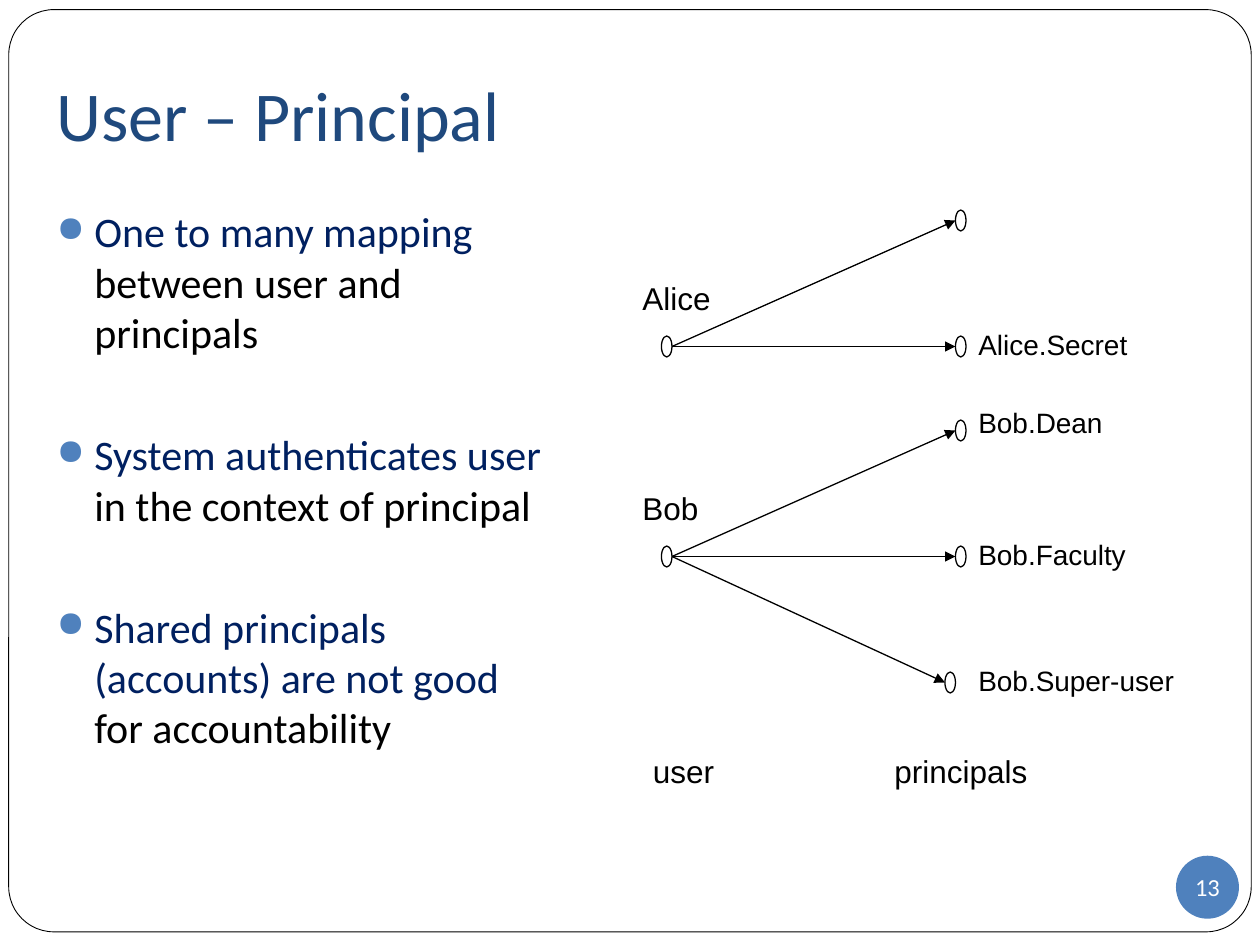
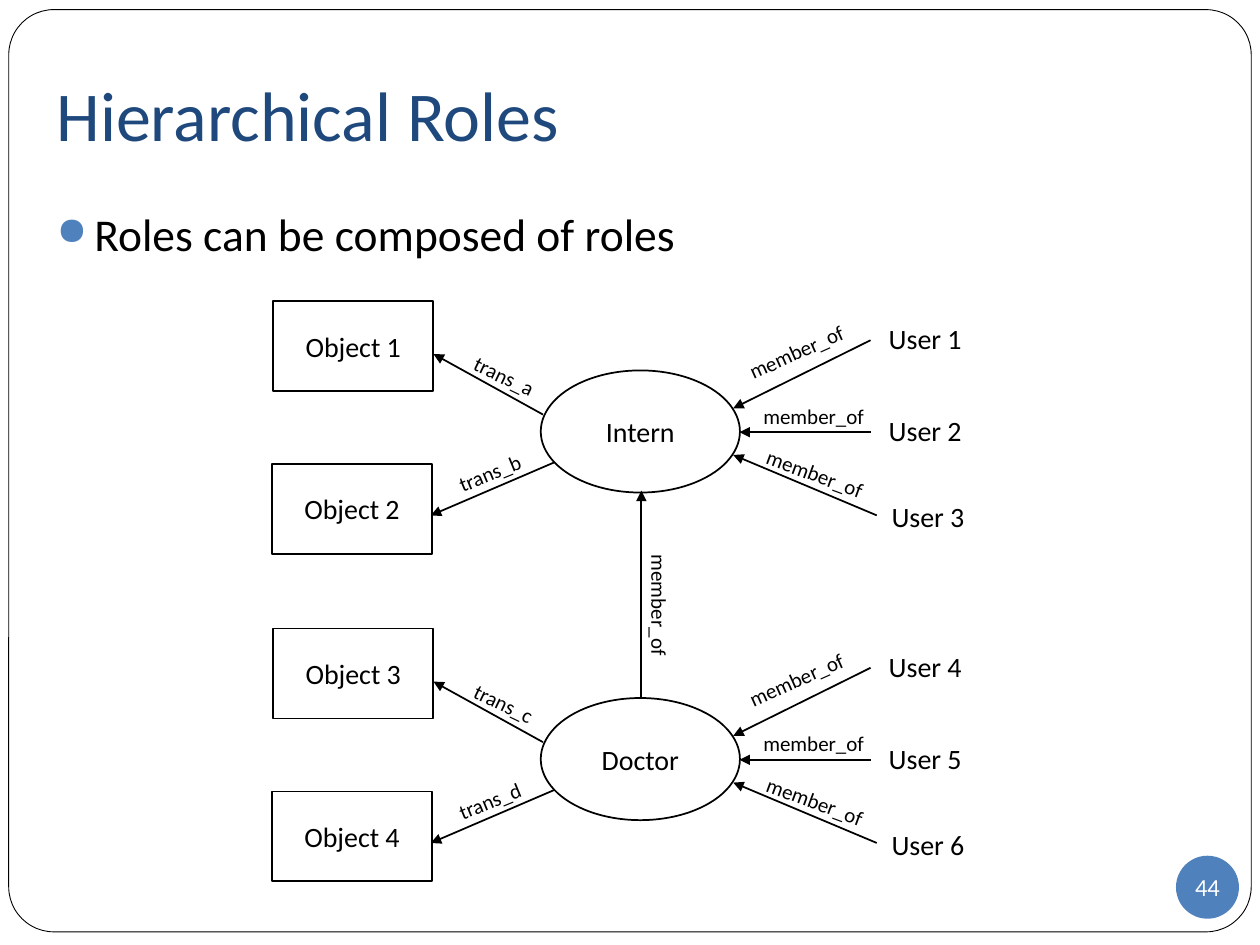
import pptx
import pptx.util
import pptx.dml.color
import pptx.enum.shapes
import pptx.enum.text
import pptx.oxml.ns
from lxml import etree

Pt = pptx.util.Pt
RGBColor = pptx.dml.color.RGBColor
SHAPE = pptx.enum.shapes.MSO_SHAPE
ANCHOR = pptx.enum.text.MSO_ANCHOR
ALIGN = pptx.enum.text.PP_ALIGN
qn = pptx.oxml.ns.qn

# Colours shared by the slides
BLACK = RGBColor(0x00, 0x00, 0x00)
WHITE = RGBColor(0xFF, 0xFF, 0xFF)
TITLE_BLUE = RGBColor(0x1F, 0x49, 0x7D)
ACCENT_BLUE = RGBColor(0x4F, 0x81, 0xBD)
KEY_NAVY = RGBColor(0x00, 0x20, 0x60)

# Text formats: frame values, alignment and font values
INSETS = {"margin_left": Pt(7.2), "margin_right": Pt(7.2),
          "margin_top": Pt(3.6), "margin_bottom": Pt(3.6), "word_wrap": True}
TOP = {**INSETS, "vertical_anchor": ANCHOR.TOP}
MIDDLE = {**INSETS, "vertical_anchor": ANCHOR.MIDDLE}
BADGE = {**MIDDLE, "margin_left": 0, "margin_right": 0, "margin_top": 0, "margin_bottom": 0}
TITLE_STYLE = ({**MIDDLE, "margin_bottom": Pt(7.2)}, ALIGN.LEFT, "Calibri", 40, TITLE_BLUE)
BADGE_STYLE = (BADGE, ALIGN.CENTER, "Calibri", 14, WHITE)
BULLET_STYLE = (TOP, ALIGN.LEFT, "Calibri", 24, BLACK)
WIDE_BULLET_STYLE = (TOP, ALIGN.LEFT, "Calibri", 26, BLACK)
HEADING_STYLE = (TOP, ALIGN.LEFT, "Arial", 18, BLACK)
PRINCIPAL_STYLE = (TOP, ALIGN.LEFT, "Arial", 16, BLACK)
NODE_STYLE = (MIDDLE, ALIGN.CENTER, "Calibri", 16, BLACK)
RELATION_STYLE = (TOP, ALIGN.LEFT, "Calibri", 12, BLACK)


def add_item(slide, box, paragraphs=(), style=None, kind=None, fill=None, line=None, rotation=0):
    """Add a shape, or a text box if kind is None; a paragraph is a list of (text, colour)."""
    box = [Pt(length) for length in box]
    if kind is None:
        shape = slide.shapes.add_textbox(*box)
    else:
        shape = slide.shapes.add_shape(kind, *box)
        shape.shadow.inherit = False
        if fill is None:
            shape.fill.background()
        else:
            shape.fill.solid()
            shape.fill.fore_color.rgb = fill
        if line is None:
            shape.line.fill.background()
        else:
            shape.line.color.rgb = BLACK
            shape.line.width = Pt(line)
    shape.rotation = rotation
    if isinstance(paragraphs, str):
        paragraphs = [[(paragraphs, None)]]
    if style:
        frame_values, alignment, font_name, size, colour = style
        for name, value in frame_values.items():
            setattr(shape.text_frame, name, value)
    for index, runs in enumerate(paragraphs):
        paragraph = shape.text_frame.add_paragraph() if index else shape.text_frame.paragraphs[0]
        paragraph.alignment = alignment
        for text, run_colour in runs:
            run = paragraph.add_run()
            run.text = text
            for name, value in {"name": font_name, "size": Pt(size)}.items():
                setattr(run.font, name, value)
            run.font.color.rgb = run_colour or colour
    return shape


def add_arrow(slide, start, end, width):
    arrow = slide.shapes.add_connector(pptx.enum.shapes.MSO_CONNECTOR.STRAIGHT,
                                       *[Pt(length) for length in (*start, *end)])
    arrow.line.color.rgb = BLACK
    arrow.line.width = Pt(width)
    etree.SubElement(arrow.line._get_or_add_ln(), qn("a:tailEnd"), type="triangle")
    etree.SubElement(arrow._element.spPr, qn("a:effectLst"))


presentation = pptx.Presentation()
presentation.slide_width = Pt(720)
presentation.slide_height = Pt(540)

# Frame, title, bullets and page number of each slide
pages = [
    ("User – Principal", "13", (25.2, 114, 300, 366), BULLET_STYLE, [
        [("One to many mapping ", KEY_NAVY), ("between user and principals", BLACK)],
        [("System authenticates user ", KEY_NAVY), ("in the context of principal", BLACK)],
        [("Shared principals (accounts) are not good ", KEY_NAVY),
         ("for accountability", BLACK)]]),
    ("Hierarchical Roles", "44", (25.2, 114, 680, 405), WIDE_BULLET_STYLE, [
        [("Roles can be composed of roles", BLACK)]]),
]
slides = []
for title, number, body_box, body_style, bullets in pages:
    slide = presentation.slides.add_slide(presentation.slide_layouts[6])
    slides.append(slide)
    frame = add_item(slide, (5, 5.5, 710, 527), kind=SHAPE.ROUNDED_RECTANGLE, fill=WHITE, line=0.5)
    frame.adjustments[0] = 0.049
    add_item(slide, (25.2, 21.6, 675, 90), title, TITLE_STYLE)
    body = add_item(slide, body_box, bullets, body_style)
    for index, paragraph in enumerate(body.text_frame.paragraphs):
        paragraph.space_before = Pt(41 if index else 5.8)
        properties = paragraph._p.get_or_add_pPr()
        properties.set("marL", str(Pt(21.6)))
        properties.set("indent", str(Pt(-21.6)))
        bullet_colour = etree.SubElement(properties, qn("a:buClr"))
        etree.SubElement(bullet_colour, qn("a:srgbClr"), val=str(ACCENT_BLUE))
        etree.SubElement(properties, qn("a:buSzPct"), val="85000")
        etree.SubElement(properties, qn("a:buChar"), char="●")
    add_item(slide, (672, 489, 36, 36), number, BADGE_STYLE, SHAPE.OVAL, fill=ACCENT_BLUE)

mapping_slide, roles_slide = slides

# Users mapped to principals: (node left, node centre, label, label top)
DOT_WIDTH, DOT_HEIGHT, USER_LEFT = 6, 12, 378
users = [
    ("Alice", 198, [(546, 126, None, None), (546, 198, "Alice.Secret", 183.6)]),
    ("Bob", 318, [(546, 246, "Bob.Dean", 228), (546, 318, "Bob.Faculty", 303.6),
                  (540, 390, "Bob.Super-user", 375.6)]),
]
for user, user_middle, principals in users:
    add_item(mapping_slide, (360, user_middle - 42, 72, 29), user, HEADING_STYLE)
    dots = [(USER_LEFT, user_middle)]
    for left, middle, label, label_top in principals:
        add_arrow(mapping_slide, (USER_LEFT + DOT_WIDTH, user_middle), (left, middle), 0.75)
        dots.append((left, middle))
        if label:
            add_item(mapping_slide, (552, label_top, 137, 26.6), label, PRINCIPAL_STYLE)
    for left, middle in dots:
        add_item(mapping_slide, (left, middle - DOT_HEIGHT / 2, DOT_WIDTH, DOT_HEIGHT),
                 kind=SHAPE.OVAL, line=0.75)
for heading, left, width in [("user", 366, 66), ("principals", 504, 114)]:
    add_item(mapping_slide, (left, 426, width, 29), heading, HEADING_STYLE)

# Each role with its objects on the left and its users on the right
ROLE_STEP = 187.2
object_places = [(156.2, 172), (155.5, 265)]
user_places = [(483, 167.8), (483, 220.3), (484.6, 269.3)]
role_arrows = [
    ((497.5, 194.4), (419, 233.3)), ((497.5, 247), (422.6, 247)), ((501, 294.5), (419, 260)),
    ((310.3, 236.9), (247.7, 202.3)), ((316.8, 264.2), (246.2, 294.5)),
]
relation_places = [(419, 190, 72.7, -24.2), (429.1, 226.8, 72.7, 0), (429.8, 259.9, 72.7, 20.3),
                   (262.8, 204.5, 52.6, 25.6), (254.2, 259.2, 52.6, -22.4)]
roles = [("Intern", ["trans_a", "trans_b"]), ("Doctor", ["trans_c", "trans_d"])]
for role_index, (role, transactions) in enumerate(roles):
    drop = role_index * ROLE_STEP
    for number, (left, top) in enumerate(object_places, 1 + 2 * role_index):
        add_item(roles_slide, (left, top + drop, 91.4, 51.4), f"Object {number}",
                 NODE_STYLE, SHAPE.RECTANGLE, line=1)
    add_item(roles_slide, (309, 211.7 + drop, 113.8, 69.8), role, NODE_STYLE, SHAPE.OVAL, line=1)
    for number, (left, top) in enumerate(user_places, 1 + 3 * role_index):
        add_item(roles_slide, (left, top + drop, 91.4, 51.4), f"User {number}", NODE_STYLE)
    for (start_x, start_y), (end_x, end_y) in role_arrows:
        add_arrow(roles_slide, (start_x, start_y + drop), (end_x, end_y + drop), 1)
    relations = ["member_of"] * 3 + transactions
    for relation, (left, top, width, angle) in zip(relations, relation_places):
        add_item(roles_slide, (left, top + drop, width, 21.6), relation, RELATION_STYLE,
                 rotation=angle)

# Doctor is a member of Intern
add_arrow(roles_slide, (366.5, 399.4), (366.5, 280.4), 1)
add_item(roles_slide, (340.6, 335.5, 72.7, 21.6), "member_of", RELATION_STYLE, rotation=90)

presentation.save("out.pptx")
